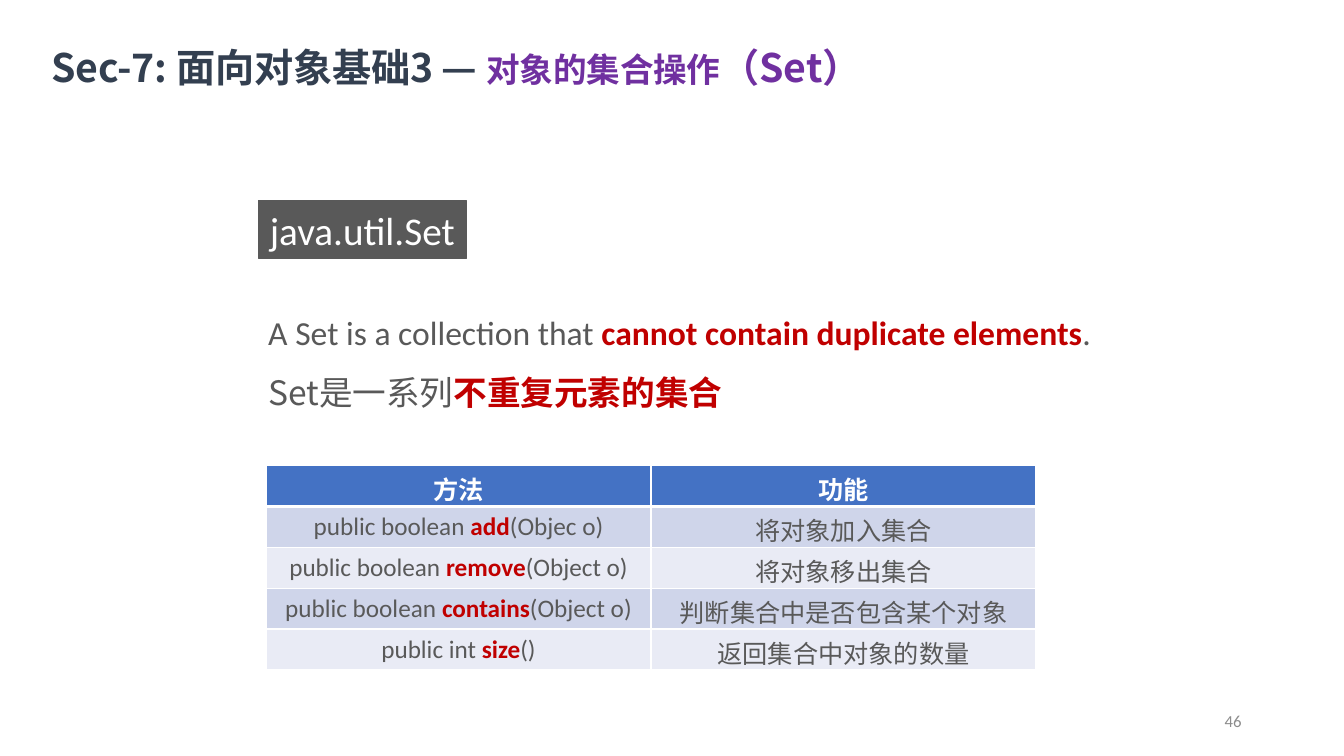
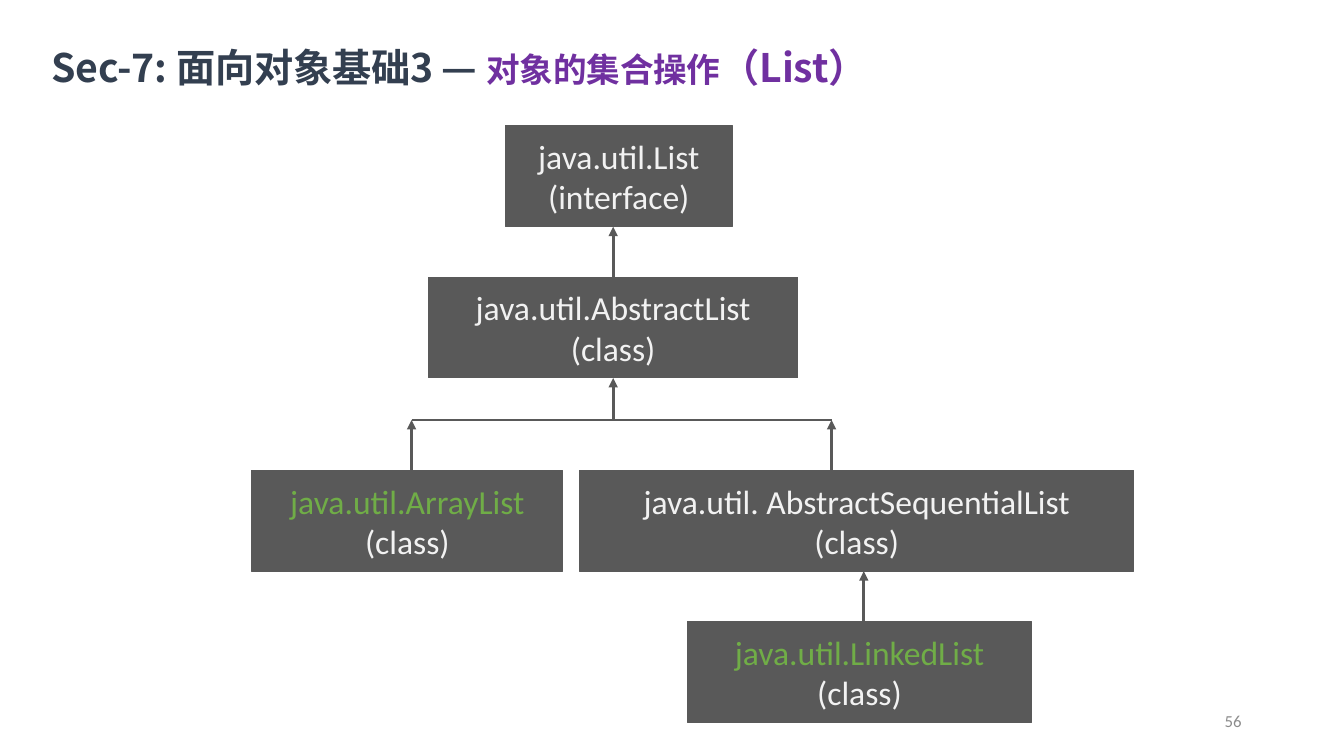
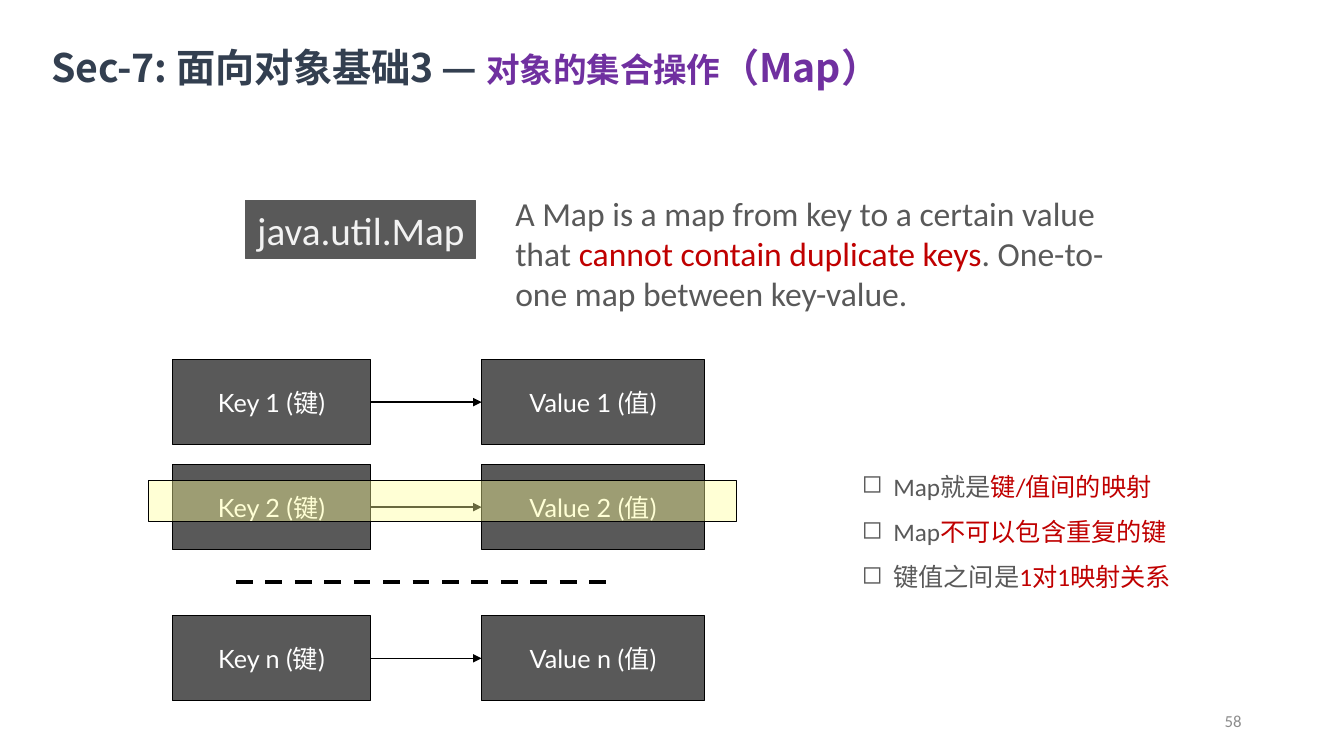
from collections.abc import Sequence
from dataclasses import dataclass
from typing import Optional

from lxml.etree import SubElement
from pptx import Presentation
from pptx.dml.color import RGBColor
from pptx.enum.dml import MSO_LINE
from pptx.enum.shapes import MSO_CONNECTOR, MSO_SHAPE
from pptx.enum.text import MSO_ANCHOR, MSO_AUTO_SIZE, PP_ALIGN
from pptx.oxml.ns import qn
from pptx.shapes.autoshape import Shape
from pptx.shapes.connector import Connector
from pptx.slide import Slide
from pptx.table import _Cell as Cell
from pptx.text.text import TextFrame
from pptx.util import Pt


@dataclass(frozen=True)
class Theme:
    navy: str = "333F50"
    purple: str = "7030A0"
    gray: str = "595959"
    number_gray: str = "8C8C8C"
    red: str = "C00000"
    green: str = "70AD47"
    white: str = "FFFFFF"
    off_white: str = "F2F2F2"
    black: str = "000000"
    yellow: str = "FFFF99"
    table_blue: str = "4472C4"
    bands: tuple[str, str] = ("CFD5EA", "E9EBF5")
    latin_font: str = "Calibri"
    label_font: str = "Lato"
    chinese_font: str = "Noto Sans CJK SC"
    title_size: float = 28
    body_size: float = 24
    small_size: float = 18
    number_size: float = 12


THEME = Theme()
TOP, LEFT, BOTTOM, RIGHT = range(4)


@dataclass(frozen=True)
class Span:
    text: str
    color: str = THEME.gray
    size: float = THEME.body_size
    font: str = THEME.latin_font
    bold: bool = False
    spacing: int = 0


@dataclass(frozen=True)
class Box:
    left: float
    top: float
    width: float
    height: float


@dataclass(frozen=True)
class ClassNode:
    name: str
    kind: str
    box: Box
    color: str = THEME.off_white


@dataclass(frozen=True)
class Line:
    start: tuple[float, float]
    end: tuple[float, float]
    width: float = 2.25
    color: str = THEME.gray
    arrow: bool = True
    dashed: bool = False


Paragraphs = Sequence[Sequence[Span]]


def write_text(frame: TextFrame, paragraphs: Paragraphs,
               alignment: PP_ALIGN = PP_ALIGN.LEFT) -> None:
    for index, spans in enumerate(paragraphs):
        paragraph = frame.add_paragraph() if index else frame.paragraphs[0]
        paragraph.alignment = alignment
        for span in spans:
            run = paragraph.add_run()
            run.text = span.text
            run.font.size = Pt(span.size)
            run.font.bold = span.bold
            run.font.color.rgb = RGBColor.from_string(span.color)
            run.font.name = span.font
            properties = run.font._element
            SubElement(properties, qn("a:ea"), typeface=THEME.chinese_font)
            if span.spacing:
                properties.set("spc", str(span.spacing))


def add_text(slide: Slide, box: Box, paragraphs: Paragraphs,
             alignment: PP_ALIGN = PP_ALIGN.LEFT, grow: bool = True) -> TextFrame:
    shape = slide.shapes.add_textbox(Pt(box.left), Pt(box.top), Pt(box.width), Pt(box.height))
    frame = shape.text_frame
    frame.word_wrap = True
    frame.auto_size = MSO_AUTO_SIZE.SHAPE_TO_FIT_TEXT if grow else MSO_AUTO_SIZE.NONE
    write_text(frame, paragraphs, alignment)
    return frame


def add_rectangle(slide: Slide, box: Box, paragraphs: Paragraphs = (),
                  fill: str = THEME.gray, outline: str = THEME.gray) -> Shape:
    shape = slide.shapes.add_shape(
        MSO_SHAPE.RECTANGLE, Pt(box.left), Pt(box.top), Pt(box.width), Pt(box.height))
    shape.shadow.inherit = False
    shape.fill.solid()
    shape.fill.fore_color.rgb = RGBColor.from_string(fill)
    shape.line.color.rgb = RGBColor.from_string(outline)
    shape.line.width = Pt(0.75)
    shape.text_frame.word_wrap = False
    shape.text_frame.vertical_anchor = MSO_ANCHOR.MIDDLE
    write_text(shape.text_frame, paragraphs, PP_ALIGN.CENTER)
    return shape


def add_line(slide: Slide, line: Line) -> Connector:
    connector = slide.shapes.add_connector(
        MSO_CONNECTOR.STRAIGHT, *(Pt(value) for value in (*line.start, *line.end)))
    connector.line.color.rgb = RGBColor.from_string(line.color)
    connector.line.width = Pt(line.width)
    if line.dashed:
        connector.line.dash_style = MSO_LINE.DASH
    properties = connector._element.spPr
    if line.arrow:
        SubElement(properties.find(qn("a:ln")), qn("a:tailEnd"), type="triangle")
    SubElement(properties, qn("a:effectLst"))
    return connector


def add_tag(slide: Slide, box: Box, text: str, color: str) -> None:
    shape = add_rectangle(slide, box, [[Span(text, color, THEME.title_size)]])
    shape.text_frame.vertical_anchor = MSO_ANCHOR.TOP
    shape.text_frame.auto_size = MSO_AUTO_SIZE.SHAPE_TO_FIT_TEXT


def add_base_slide(presentation: Presentation, topic: str, number: int) -> Slide:
    slide = presentation.slides.add_slide(presentation.slide_layouts[6])
    title = [
        Span("Sec-7: 面向对象基础3 — ", THEME.navy, THEME.title_size,
             THEME.chinese_font, True, -10),
        Span("对象的集合操作", THEME.purple, THEME.body_size, THEME.chinese_font, True, -10),
        Span(f"（{topic}）", THEME.purple, THEME.title_size, THEME.chinese_font, True, -10),
    ]
    frame = add_text(slide, Box(36, 30, 767.5, 34.5), [title])
    frame.margin_left = frame.margin_top = Pt(0.9)
    frame.margin_right = frame.margin_bottom = 0
    frame.paragraphs[0].space_before = Pt(0.9)
    page = [Span(str(number), THEME.number_gray, THEME.number_size)]
    frame = add_text(slide, Box(678, 500.5, 216, 28.75), [page], PP_ALIGN.RIGHT, False)
    frame.vertical_anchor = MSO_ANCHOR.MIDDLE
    return slide


def style_cell(cell: Cell, spans: Sequence[Span], fill: str,
               top_width: float, bottom_width: float) -> None:
    properties = cell._tc.get_or_add_tcPr()
    for side, width in (("L", 1), ("R", 1), ("T", top_width), ("B", bottom_width)):
        border = SubElement(properties, qn(f"a:ln{side}"), w=str(Pt(width)))
        SubElement(SubElement(border, qn("a:solidFill")), qn("a:srgbClr"), val=THEME.white)
    cell.fill.solid()
    cell.fill.fore_color.rgb = RGBColor.from_string(fill)
    write_text(cell.text_frame, [spans], PP_ALIGN.CENTER)


def add_method_table(slide: Slide) -> None:
    methods = (
        ("public boolean ", "add", "(Objec o)", "将对象加入集合"),
        ("public boolean ", "remove", "(Object o)", "将对象移出集合"),
        ("public boolean ", "contains", "(Object o)", "判断集合中是否包含某个对象"),
        ("public int ", "size", "()", "返回集合中对象的数量"),
    )
    size = THEME.small_size
    rows = [[[Span(text, THEME.white, size, bold=True)] for text in ("方法", "功能")]]
    for result, name, arguments, purpose in methods:
        signature = [Span(result, size=size), Span(name, THEME.red, size, bold=True),
                     Span(arguments, size=size)]
        rows.append([signature, [Span(purpose, size=size)]])
    table = slide.shapes.add_table(
        len(rows), 2, Pt(190), Pt(332.5), Pt(550), Pt(29.2 * len(rows))).table
    for row_index, row in enumerate(rows):
        fill = THEME.bands[(row_index - 1) % 2] if row_index else THEME.table_blue
        for column_index, spans in enumerate(row):
            style_cell(table.cell(row_index, column_index), spans, fill,
                       3 if row_index == 1 else 1, 3 if row_index == 0 else 1)


def build_set_slide(presentation: Presentation) -> None:
    slide = add_base_slide(presentation, "Set", 46)
    add_tag(slide, Box(184.5, 143.5, 148.5, 41), "java.util.Set", THEME.white)
    add_text(slide, Box(184.5, 219, 613.5, 36), [[
        Span("A Set is a collection that "),
        Span("cannot contain duplicate elements", THEME.red, bold=True),
        Span("."),
    ]])
    add_text(slide, Box(184.5, 262, 528.5, 36), [[
        Span("Set是一系列", font=THEME.chinese_font),
        Span("不重复元素的集合", THEME.red, font=THEME.chinese_font, bold=True),
    ]])
    add_method_table(slide)


def build_list_slide(presentation: Presentation) -> None:
    slide = add_base_slide(presentation, "List", 56)
    height = 72
    abstract_list = ClassNode("java.util.AbstractList", "(class)", Box(306, 198, 264, height))
    nodes = (
        ClassNode("java.util.List", "(interface)", Box(361, 90, 162, height)),
        abstract_list,
        ClassNode("java.util.ArrayList", "(class)", Box(180, 336, 222, height), THEME.green),
        ClassNode("java.util. AbstractSequentialList", "(class)", Box(414, 336, 396, height)),
        ClassNode("java.util.LinkedList", "(class)", Box(491, 444, 246, height), THEME.green),
    )
    shapes = {
        node.name: add_rectangle(slide, node.box, [
            [Span(node.name, node.color)], [Span(node.kind, THEME.off_white)]])
        for node in nodes
    }
    trunk, branch_y, left_branch, right_branch = 438, 300, 294, 594
    to_list = add_line(slide, Line((trunk, 198), (trunk, 162)))
    to_list.begin_connect(shapes[abstract_list.name], TOP)
    to_abstract_list = add_line(slide, Line((trunk, branch_y), (trunk, 270)))
    to_abstract_list.end_connect(shapes[abstract_list.name], BOTTOM)
    add_line(slide, Line((left_branch, branch_y), (right_branch, branch_y), 0.75, arrow=False))
    for branch in (left_branch, right_branch):
        add_line(slide, Line((branch, 336), (branch, branch_y)))
    add_line(slide, Line((617, 444), (617, 408)))


def add_pair(slide: Slide, label: str, top: float) -> None:
    height = 60.5
    key, value = (
        add_rectangle(slide, Box(left, top, width, height),
                      [[Span(text, THEME.white, THEME.small_size, THEME.label_font)]],
                      outline=THEME.black)
        for text, left, width in ((f"Key {label} (键)", 123, 142),
                                  (f"Value {label} (值)", 344, 159))
    )
    middle = top + height / 2
    arrow = add_line(slide, Line((265, middle), (344, middle), 1, THEME.black))
    arrow.begin_connect(key, RIGHT)
    arrow.end_connect(value, LEFT)


def add_bullets(slide: Slide, box: Box, paragraphs: Paragraphs) -> None:
    frame = add_text(slide, box, paragraphs)
    indent = Pt(22.5)
    for paragraph in frame.paragraphs:
        paragraph.line_spacing = 1.5
        properties = paragraph._p.get_or_add_pPr()
        properties.set("marL", str(indent))
        properties.set("indent", str(-indent))
        SubElement(properties, qn("a:buChar"), char="◻")


def build_map_slide(presentation: Presentation) -> None:
    slide = add_base_slide(presentation, "Map", 58)
    add_tag(slide, Box(175.5, 143.5, 164.5, 41), "java.util.Map", THEME.off_white)
    add_text(slide, Box(361, 134, 465, 94.5), [[
        Span("A Map is a map from key to a certain value that "),
        Span("cannot contain duplicate keys", THEME.red),
        Span(". One-to-one map between key-value."),
    ]])
    facts = (("Map就是", "键/值间的映射"), ("Map", "不可以包含重复的键"),
             ("键值之间是", "1对1映射关系"))
    add_bullets(slide, Box(608.5, 322, 259, 102), [
        [Span(lead, size=THEME.small_size), Span(point, THEME.red, THEME.small_size)]
        for lead, point in facts])
    for label, top in (("1", 257), ("2", 332), ("n", 440)):
        add_pair(slide, label, top)
    add_line(slide, Line((168.5, 415.5), (435, 415.5), 3, THEME.black, False, True))
    highlight = add_rectangle(slide, Box(106, 343.5, 420, 29),
                              fill=THEME.yellow, outline=THEME.black)
    color = highlight._element.spPr.find(f"{qn('a:solidFill')}/{qn('a:srgbClr')}")
    SubElement(color, qn("a:alpha"), val="41000")


def main() -> None:
    presentation = Presentation()
    presentation.slide_width = Pt(960)
    presentation.slide_height = Pt(540)
    build_set_slide(presentation)
    build_list_slide(presentation)
    build_map_slide(presentation)
    presentation.save("out.pptx")


if __name__ == "__main__":
    main()
